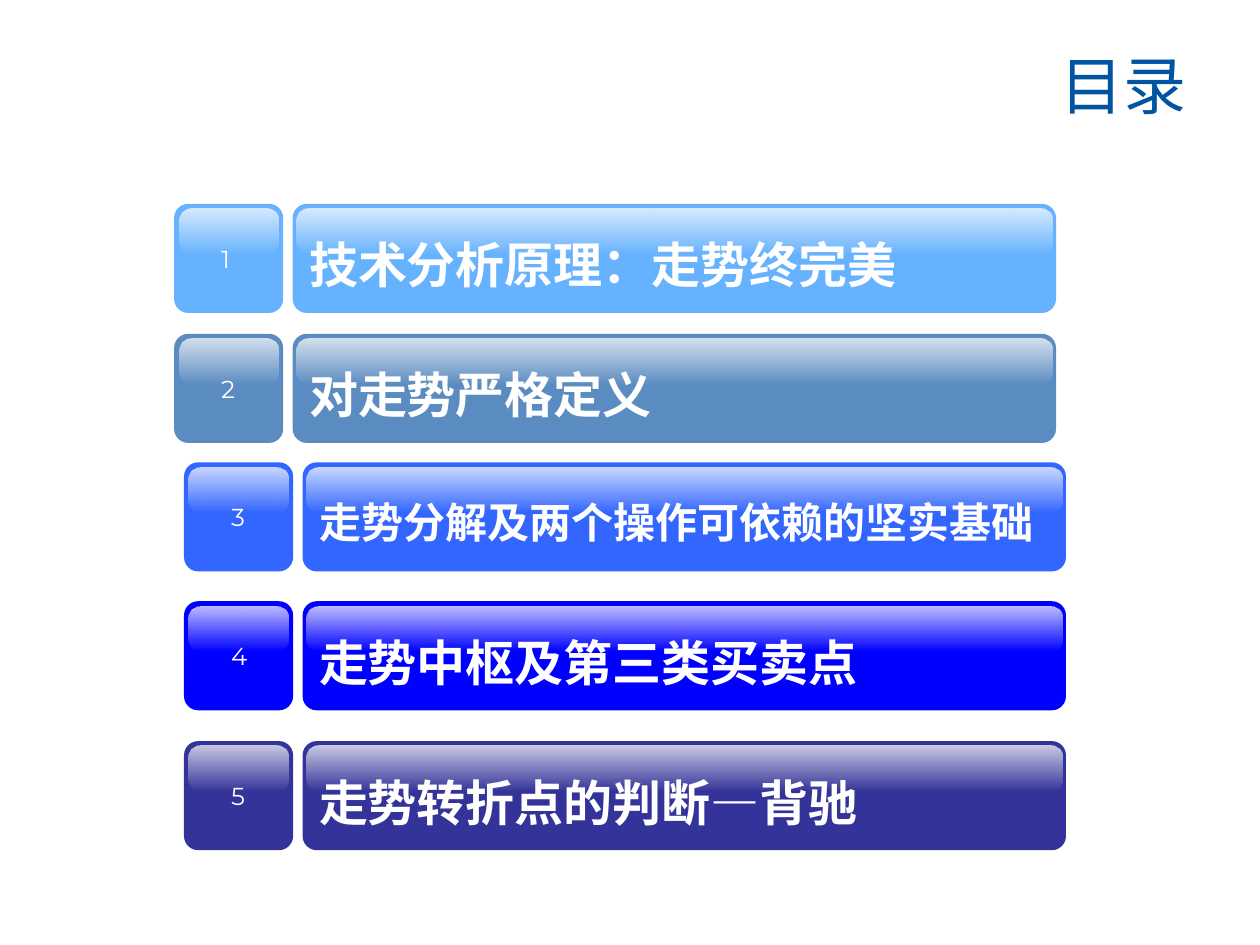
from lxml.etree import SubElement
from pptx import Presentation
from pptx.dml.color import RGBColor
from pptx.enum.shapes import MSO_SHAPE
from pptx.enum.text import MSO_ANCHOR, PP_ALIGN
from pptx.oxml.ns import qn
from pptx.util import Cm, Pt

WHITE = RGBColor(0xFF, 0xFF, 0xFF)
OFF_WHITE = RGBColor(0xFE, 0xFE, 0xFE)
TITLE_BLUE = RGBColor(0x00, 0x54, 0xA2)
SKY = RGBColor(0x66, 0xB2, 0xFE)
STEEL = RGBColor(0x5B, 0x8C, 0xC1)
ROYAL = RGBColor(0x33, 0x66, 0xFF)
PURE_BLUE = RGBColor(0x00, 0x00, 0xFF)
INDIGO = RGBColor(0x33, 0x33, 0x99)

# left, top (cm), colour, text size, chapter
CHAPTERS = [
    (3.51, 4.11, SKY, 28, "技术分析原理：走势终完美"),
    (3.51, 6.73, STEEL, 28, "对走势严格定义"),
    (3.71, 9.32, ROYAL, 24, "走势分解及两个操作可依赖的坚实基础"),
    (3.71, 12.12, PURE_BLUE, 28, "走势中枢及第三类买卖点"),
    (3.71, 14.94, INDIGO, 28, "走势转折点的判断—背驰"),
]
TILE = 2.2
BAR_OFFSET, BAR_WIDTH = 2.39, 15.39
GLOSS_HEIGHT = 0.9


def write(shape, text, align=PP_ALIGN.LEFT, spacing=None, **font_format):
    frame = shape.text_frame
    frame.word_wrap = True
    frame.vertical_anchor = MSO_ANCHOR.MIDDLE
    paragraph = frame.paragraphs[0]
    paragraph.alignment = align
    paragraph.line_spacing = spacing
    run = paragraph.add_run()
    run.text = text
    run.font.color.rgb = font_format.pop("color")
    for attribute, value in font_format.items():
        setattr(run.font, attribute, value)


def add_panel(group, left, top, width, height, rounding, color=None):
    """Add a rounded panel; without a colour it is a fading white gloss."""
    panel = group.shapes.add_shape(
        MSO_SHAPE.ROUNDED_RECTANGLE, Cm(left), Cm(top), Cm(width), Cm(height))
    panel.adjustments[0] = rounding
    panel.shadow.inherit = False
    panel.line.fill.background()
    if color is not None:
        panel.fill.solid()
        panel.fill.fore_color.rgb = color
        return panel
    panel.fill.gradient()
    panel.fill.gradient_angle = 270
    fade = [(0, WHITE, 75), (1, OFF_WHITE, 0)]
    for stop, (position, tint, opacity) in zip(panel.fill.gradient_stops, fade):
        stop.position = position
        stop.color.rgb = tint
    for tint, (_, _, opacity) in zip(panel.element.spPr.iter(qn("a:srgbClr")), fade):
        SubElement(tint, qn("a:alpha"), val=str(opacity * 1000))
    return panel


prs = Presentation()
prs.slide_width, prs.slide_height = Cm(25.4), Cm(19.05)
slide = prs.slides.add_slide(prs.slide_layouts[6])

title = slide.shapes.add_textbox(Cm(1.3), Cm(0.81), Cm(22.86), Cm(1.78))
write(title, "目录", PP_ALIGN.RIGHT, size=Pt(36), name="Arial", color=TITLE_BLUE)

for number, (left, top, color, size, chapter) in enumerate(CHAPTERS, start=1):
    group = slide.shapes.add_group_shape()
    bar_left = left + BAR_OFFSET

    bar = add_panel(group, bar_left, top, BAR_WIDTH, TILE, 0.13, color)
    write(bar, chapter, spacing=1.2, size=Pt(size), name="Arial", bold=True, color=WHITE)
    add_panel(group, bar_left + 0.08, top + 0.1, 15.24, GLOSS_HEIGHT, 0.26)

    add_panel(group, left, top, TILE, TILE, 0.13, color)
    digit = group.shapes.add_textbox(Cm(left + 0.7), Cm(top + 0.6), Cm(0.79), Cm(1))
    write(digit, str(number), size=Pt(14), name="Montserrat", color=WHITE)
    add_panel(group, left + 0.1, top + 0.1, 2, GLOSS_HEIGHT, 0.26)

prs.save("out.pptx")
